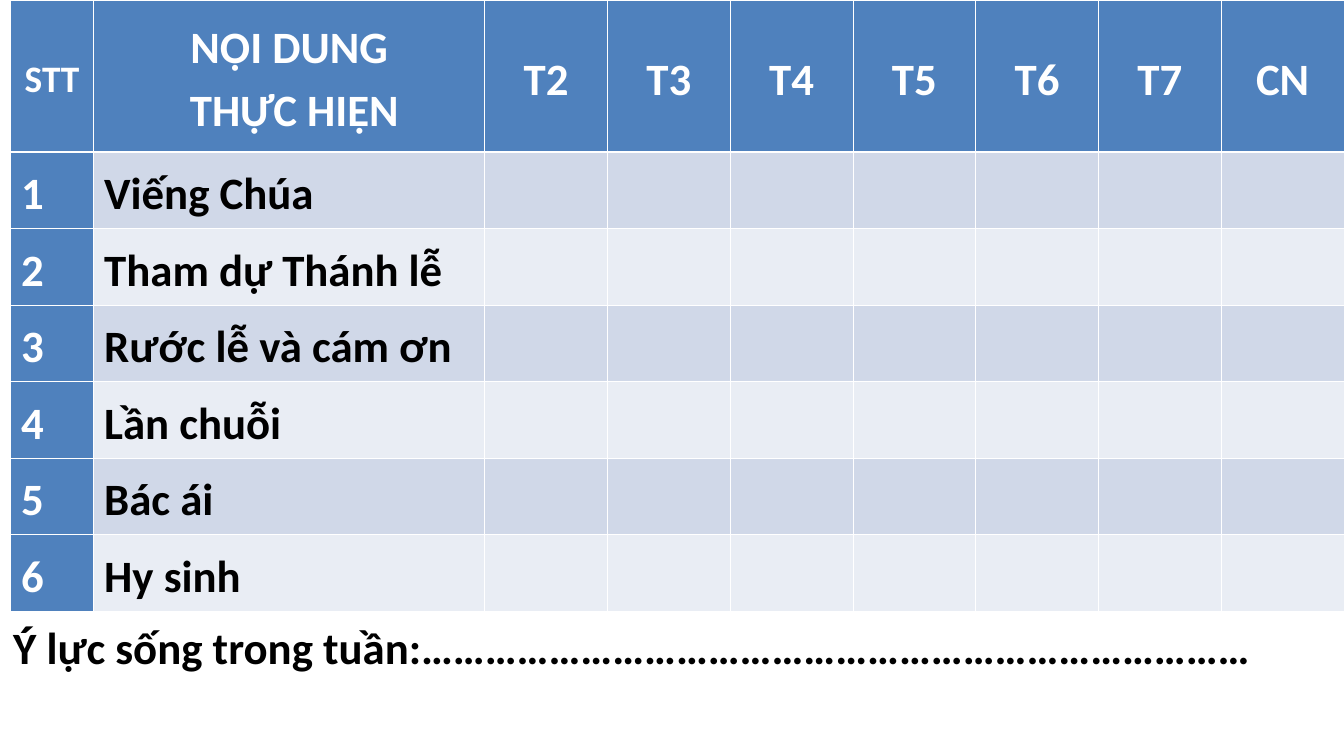
"""Build a weekly checklist slide with a table and a line for the motto."""
import dataclasses
import typing

import lxml.etree
import pptx
import pptx.dml.color
import pptx.enum.text
import pptx.oxml.ns
import pptx.util

Cm = pptx.util.Cm
Pt = pptx.util.Pt
RGBColor = pptx.dml.color.RGBColor

WHITE = RGBColor(0xFF, 0xFF, 0xFF)
BLACK = RGBColor(0x00, 0x00, 0x00)
BLUE = RGBColor(0x4F, 0x81, 0xBD)
BANDS = (RGBColor(0xD0, 0xD8, 0xE8), RGBColor(0xE9, 0xED, 0xF4))

DAYS = ("T2", "T3", "T4", "T5", "T6", "T7", "CN")
HEADINGS = ("STT", "NỘI DUNG\n THỰC HIỆN", *DAYS)
TASKS = (
    "Viếng Chúa",
    "Tham dự Thánh lễ",
    "Rước lễ và cám ơn",
    "Lần chuỗi",
    "Bác ái",
    "Hy sinh",
)
MOTTO = "Ý lực sống trong tuần:……………………………………………………………………"

COLUMN_WIDTHS = (Cm(1.57), Cm(7.39)) + (Cm(2.32),) * len(DAYS)
ROW_HEIGHTS = (Cm(2.87),) + (Cm(1.38),) * len(TASKS)
THIN, THICK = Pt(0.45), Pt(1.47)
CELL_FORMAT = {
    "margin_left": Cm(0.2),
    "margin_right": Cm(0.2),
    "margin_top": Cm(0.13),
    "margin_bottom": Cm(0.13),
}
FONT_FORMAT = {"name": "Calibri", "size": Pt(24), "bold": True}


@dataclasses.dataclass
class CellStyle:
    """Look of one table cell."""

    fill: RGBColor
    color: RGBColor
    size: int = Pt(24)
    centered: bool = False
    top: int = THIN
    bottom: int = THIN


def set_attributes(target: typing.Any, values: dict) -> None:
    """Set each named attribute on the target."""
    for name, value in values.items():
        setattr(target, name, value)


def format_font(font: typing.Any, color: RGBColor, size: int) -> None:
    """Give a font the slide's typeface, a size and a colour."""
    set_attributes(font, FONT_FORMAT | {"size": size})
    font.color.rgb = color


def add_borders(cell: typing.Any, style: CellStyle) -> None:
    """Draw the four white borders of a cell."""
    properties = cell._tc.get_or_add_tcPr()
    widths = {"a:lnL": THIN, "a:lnR": THIN, "a:lnT": style.top, "a:lnB": style.bottom}
    for index, (tag, width) in enumerate(widths.items()):
        line = lxml.etree.Element(pptx.oxml.ns.qn(tag), w=str(int(width)))
        fill = lxml.etree.SubElement(line, pptx.oxml.ns.qn("a:solidFill"))
        lxml.etree.SubElement(fill, pptx.oxml.ns.qn("a:srgbClr"), val=str(WHITE))
        properties.insert(index, line)


def fill_cell(cell: typing.Any, text: str, style: CellStyle) -> None:
    """Write and format one table cell."""
    set_attributes(cell, CELL_FORMAT)
    cell.fill.solid()
    cell.fill.fore_color.rgb = style.fill
    add_borders(cell, style)
    if not text:
        return
    cell.text = text
    if style.centered:
        cell.vertical_anchor = pptx.enum.text.MSO_ANCHOR.MIDDLE
    for paragraph in cell.text_frame.paragraphs:
        paragraph.line_spacing = 1.15
        if style.centered:
            paragraph.alignment = pptx.enum.text.PP_ALIGN.CENTER
        format_font(paragraph.font, style.color, style.size)


def style_for(row: int, column: int) -> CellStyle:
    """Choose the look of a cell from its place in the table."""
    if row == 0:
        size = Pt(20) if column == 0 else Pt(24)
        return CellStyle(BLUE, WHITE, size, centered=True, bottom=THICK)
    top = THICK if row == 1 else THIN
    if column == 0:
        return CellStyle(BLUE, WHITE, top=top)
    return CellStyle(BANDS[(row - 1) % 2], BLACK, top=top)


def add_checklist(slide: typing.Any) -> None:
    """Add the table of tasks against weekdays."""
    rows = [HEADINGS]
    for number, task in enumerate(TASKS, 1):
        rows.append((str(number), task) + ("",) * len(DAYS))
    table = slide.shapes.add_table(
        len(rows), len(HEADINGS), Cm(0.2), Cm(0), sum(COLUMN_WIDTHS), sum(ROW_HEIGHTS)
    ).table
    for column, width in zip(table.columns, COLUMN_WIDTHS):
        column.width = width
    for row, height in zip(table.rows, ROW_HEIGHTS):
        row.height = height
    for row, texts in enumerate(rows):
        for column, text in enumerate(texts):
            fill_cell(table.cell(row, column), text, style_for(row, column))


def add_motto(slide: typing.Any) -> None:
    """Add the dotted line to write on below the table."""
    shape = slide.shapes.add_textbox(Cm(0), Cm(11.58), Cm(25.4), Cm(1.28))
    frame = shape.text_frame
    frame.word_wrap = True
    frame.auto_size = pptx.enum.text.MSO_AUTO_SIZE.SHAPE_TO_FIT_TEXT
    paragraph = frame.paragraphs[0]
    paragraph.text = MOTTO
    format_font(paragraph.font, BLACK, Pt(24))


def main() -> None:
    """Build and save the presentation."""
    presentation = pptx.Presentation()
    set_attributes(presentation, {"slide_width": Cm(25.4), "slide_height": Cm(14.29)})
    slide = presentation.slides.add_slide(presentation.slide_layouts[6])
    add_checklist(slide)
    add_motto(slide)
    presentation.save("out.pptx")


if __name__ == "__main__":
    main()
